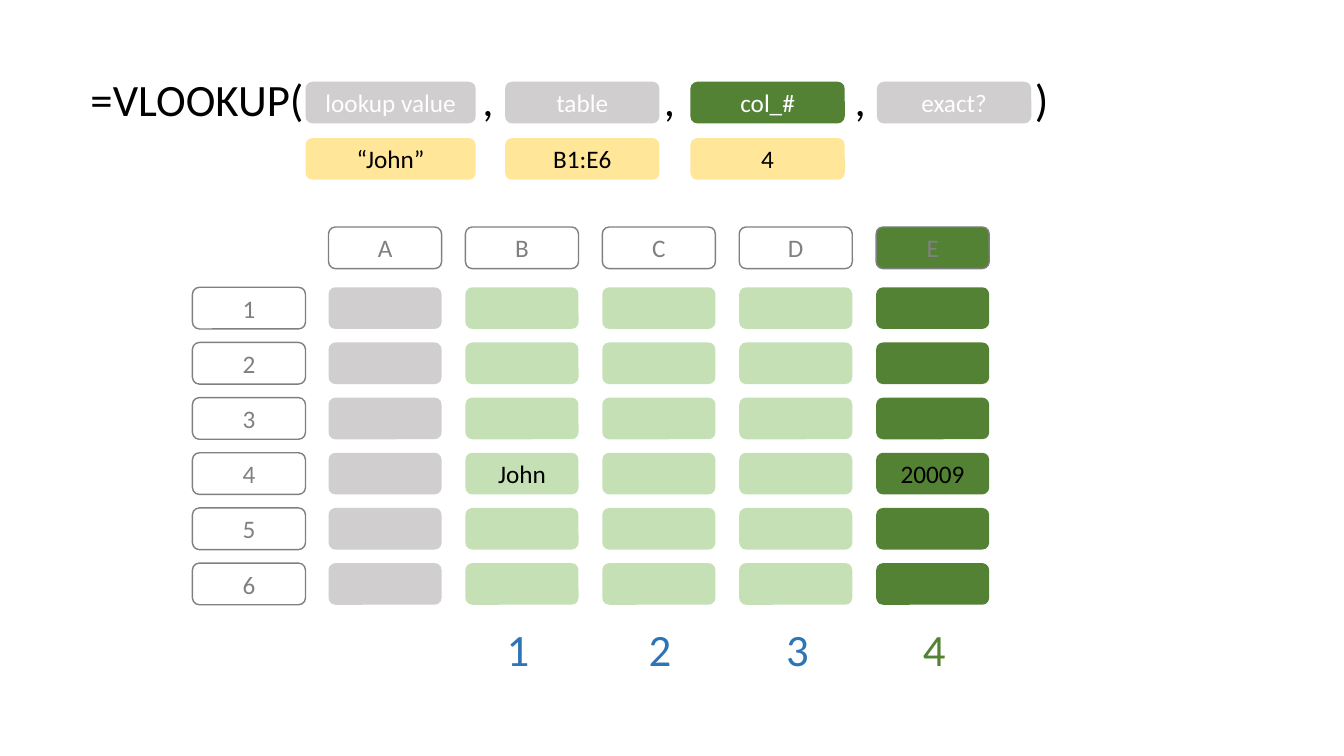
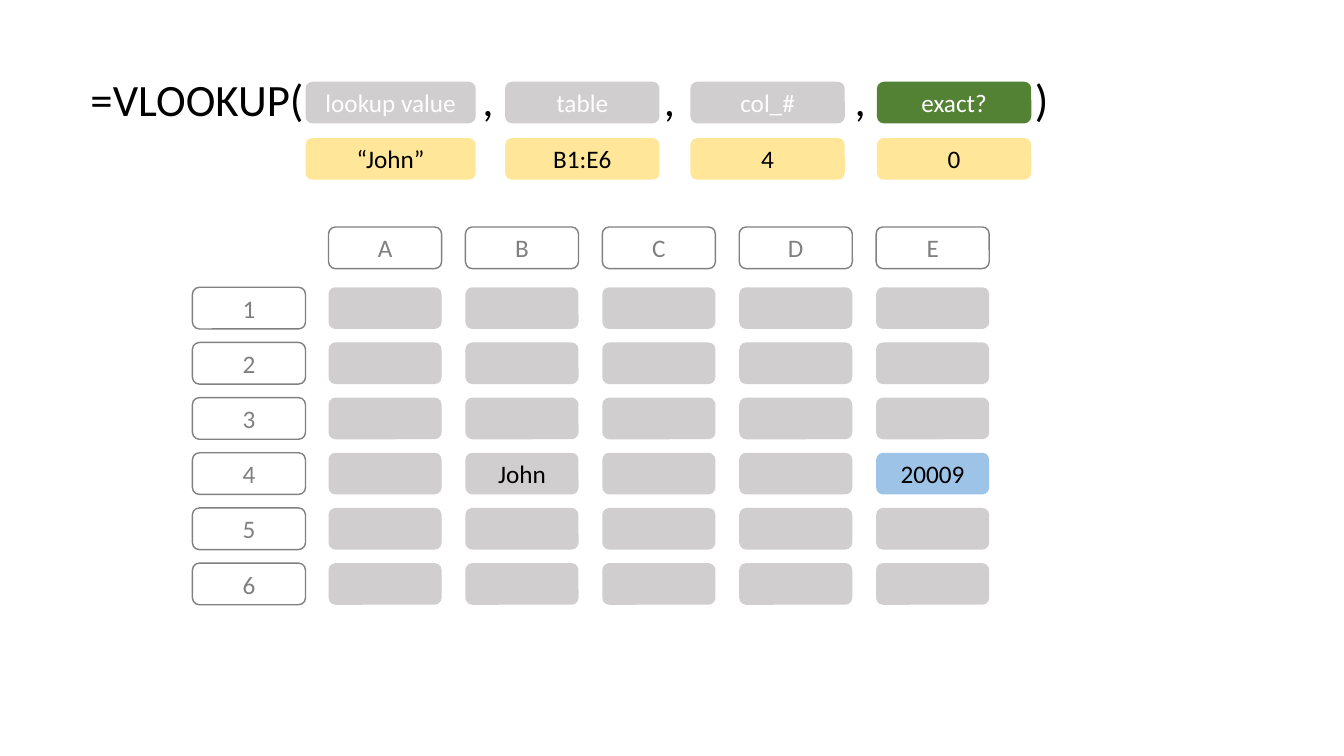
from pptx import Presentation
from pptx.dml.color import RGBColor as RGB
from pptx.enum.shapes import MSO_SHAPE as SHAPE
from pptx.enum.text import MSO_ANCHOR as ANCHOR, MSO_AUTO_SIZE as AUTO, PP_ALIGN as ALIGN
from pptx.util import Cm, Pt

COLORS = {
    "black": "000000", "white": "FFFFFF", "mid": "808080", "grey": "D0CECE",
    "green": "548235", "pale": "C5E0B4", "yellow": "FFE699",
    "blue": "2E75B6", "sky": "9DC3E6",
}
FONTS = {
    "large": {"name": "Calibri", "size": Pt(32), "bold": False},
    "small": {"name": "Calibri", "size": Pt(18), "bold": False},
}
FRAME = {
    "word_wrap": True, "auto_size": AUTO.NONE, "vertical_anchor": ANCHOR.TOP,
    "margin_left": Cm(0.25), "margin_right": 0,
    "margin_top": Cm(0.13), "margin_bottom": Cm(0.13),
}
ARGUMENTS = [
    ("lookup value", "“John”", 7.7, 4.29),
    ("table", "B1:E6", 12.73, 3.89),
    ("col_#", "4", 17.4, 3.89),
    ("exact?", "0", 22.1, 3.89),
]
SEPARATORS = [(",", 11.91), (",", 16.48), (",", 21.29), (")", 25.83)]
COL_LEFTS = [8.28 + 3.45 * i for i in range(5)]
ROW_TOPS = [7.24 + 1.39 * i for i in range(6)]
CELL_W, PILL_H = 2.85, 1.05
TEXT_H = 1.63
FOUND = {(3, 1): "John", (3, 4): "20009"}


class Deck:
    def __init__(self):
        self.prs = Presentation()
        self.prs.slide_width, self.prs.slide_height = Cm(33.87), Cm(19.05)
        self.s = None

    def new_slide(self):
        self.s = self.prs.slides.add_slide(self.prs.slide_layouts[5])

    def add_text(self, tf, text, font, color, align):
        p = tf.paragraphs[0]
        p.alignment = align
        r = p.add_run()
        r.text = text
        for key, value in FONTS[font].items():
            setattr(r.font, key, value)
        r.font.color.rgb = RGB.from_string(COLORS[color])

    def large_text(self, sp, text, color):
        tf = sp.text_frame
        for key, value in FRAME.items():
            setattr(tf, key, value)
        self.add_text(tf, text, "large", color, ALIGN.LEFT)

    def title(self, text, left, top, width):
        sp = self.s.shapes.title
        box = {"left": left, "top": top, "width": width, "height": TEXT_H}
        for key, value in box.items():
            setattr(sp, key, Cm(value))
        self.large_text(sp, text, "black")

    def label(self, text, left, top, width, color="black"):
        sp = self.s.shapes.add_textbox(Cm(left), Cm(top), Cm(width), Cm(TEXT_H))
        self.large_text(sp, text, color)

    def pill(self, left, top, width, text="", fill=None, color="black", line=None):
        sp = self.s.shapes.add_shape(
            SHAPE.ROUNDED_RECTANGLE, Cm(left), Cm(top), Cm(width), Cm(PILL_H))
        sp.shadow.inherit = False
        if fill:
            sp.fill.solid()
            sp.fill.fore_color.rgb = RGB.from_string(COLORS[fill])
        else:
            sp.fill.background()
        if line:
            sp.line.color.rgb = RGB.from_string(COLORS[line])
            sp.line.width = Pt(1)
        else:
            sp.line.fill.background()
        if text:
            self.add_text(sp.text_frame, text, "small", color, ALIGN.CENTER)

    def formula(self, active):
        self.title("=VLOOKUP(", 2.03, 1.68, 6.25)
        for i, (name, value, left, width) in enumerate(ARGUMENTS):
            self.pill(left, 2.06, width, name, "green" if i == active else "grey", "white")
            if i <= active:
                self.pill(left, 3.48, width, value, "yellow")
        for mark, left in SEPARATORS:
            self.label(mark, left, 1.68, 0.46)

    def header(self, left, top, text, fill=None):
        self.pill(left, top, CELL_W, text, fill, "mid", "mid")

    def grid(self, col_fills, header_fills=None, cell_fills=None):
        header_fills, cell_fills = header_fills or {}, cell_fills or {}
        for name, left in zip("ABCDE", COL_LEFTS):
            self.header(left, 5.72, name, header_fills.get(name))
        for row, top in enumerate(ROW_TOPS):
            self.header(4.85, top, str(row + 1))
            for col, left in enumerate(COL_LEFTS):
                cell = row, col
                fill = cell_fills.get(cell, col_fills[col])
                self.pill(left, top, CELL_W, FOUND.get(cell, ""), fill)


def main():
    deck = Deck()

    deck.new_slide()
    deck.formula(active=2)
    deck.grid(["grey", "pale", "pale", "pale", "green"], header_fills={"E": "green"})
    for number, left in enumerate([12.52, 16.1, 19.56, 23.01], 1):
        deck.label(str(number), left, 15.54, 0.99, "green" if number == 4 else "blue")

    deck.new_slide()
    deck.formula(active=3)
    deck.grid(["grey"] * 5, cell_fills={(3, 4): "sky"})

    deck.prs.save("out.pptx")


if __name__ == "__main__":
    main()
